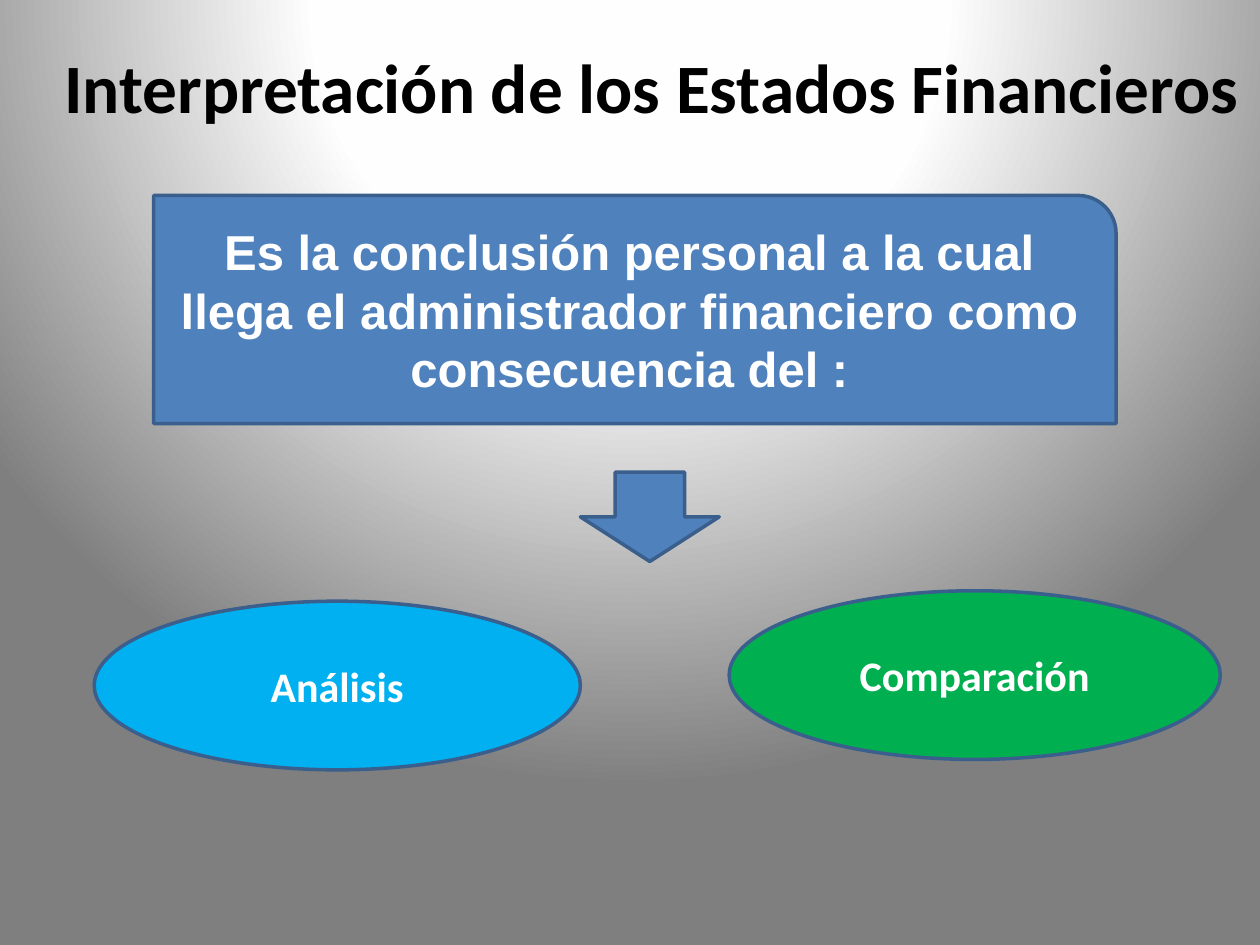
"""Build the slide on the interpretation of financial statements."""
from dataclasses import dataclass
from typing import Optional

from lxml.etree import fromstring
from pptx import Presentation
from pptx.dml.color import RGBColor
from pptx.enum.shapes import MSO_SHAPE as Shape
from pptx.enum.text import MSO_ANCHOR as Anchor, PP_ALIGN as Align
from pptx.slide import Slide
from pptx.text.text import TextFrame
from pptx.util import Cm, Pt


@dataclass(frozen=True)
class Theme:
    blue: str = "4F81BD"
    sky: str = "00B0F0"
    green: str = "00B050"
    outline: str = "3A5F8C"
    dark: str = "000000"
    light: str = "FFFFFF"
    backdrop: tuple = ((0, "FFFFFF"), (40, "FEFEFE"), (100, "7F7F7F"))
    heading_font: str = "Calibri"
    body_font: str = "Arial"
    title_size: float = 39.6
    statement_size: float = 28
    label_size: float = 24
    line_width: float = 2


@dataclass(frozen=True)
class Box:
    left: float
    top: float
    width: float
    height: float

    def lengths(self) -> tuple:
        return Cm(self.left), Cm(self.top), Cm(self.width), Cm(self.height)


@dataclass(frozen=True)
class Label:
    text: str
    size: float
    font: str
    color: str


@dataclass(frozen=True)
class Figure:
    kind: Shape
    box: Box
    fill: str
    label: Optional[Label] = None


THEME = Theme()
TITLE_BOX = Box(0.89, 0.76, 24.51, 3.18)
TITLE = Label("Interpretación de los Estados Financieros",
              THEME.title_size, THEME.heading_font, THEME.dark)
STATEMENT = Label("Es la conclusión personal a la cual llega el administrador "
                  "financiero como consecuencia del :",
                  THEME.statement_size, THEME.body_font, THEME.light)
ANALYSIS, COMPARISON = (
    Label(text, THEME.label_size, THEME.heading_font, THEME.light)
    for text in ("Análisis", "Comparación"))
FIGURES = (
    Figure(Shape.ROUND_1_RECTANGLE, Box(3.1, 3.94, 19.4, 4.6), THEME.blue, STATEMENT),
    Figure(Shape.OVAL, Box(1.9, 12.12, 9.8, 3.4), THEME.sky, ANALYSIS),
    Figure(Shape.OVAL, Box(14.7, 11.91, 9.9, 3.4), THEME.green, COMPARISON),
    Figure(Shape.DOWN_ARROW, Box(11.7, 9.52, 2.8, 1.8), THEME.blue),
)


def paint_background(slide: Slide) -> None:
    """Fill the slide with a circular gradient centred above it."""
    stops = "".join(
        f'<a:gs pos="{position * 1000}"><a:srgbClr val="{color}"/></a:gs>'
        for position, color in THEME.backdrop)
    background = fromstring(
        '<p:bg xmlns:p="http://schemas.openxmlformats.org/presentationml/2006/main" '
        'xmlns:a="http://schemas.openxmlformats.org/drawingml/2006/main">'
        f'<p:bgPr><a:gradFill rotWithShape="1"><a:gsLst>{stops}</a:gsLst>'
        '<a:path path="circle">'
        '<a:fillToRect l="50000" t="-80000" r="50000" b="180000"/></a:path>'
        '</a:gradFill><a:effectLst/></p:bgPr></p:bg>')
    slide.element.cSld.insert(0, background)


def write_label(frame: TextFrame, label: Label, anchor: Anchor) -> None:
    """Write one bold centred paragraph."""
    frame.word_wrap = True
    frame.vertical_anchor = anchor
    paragraph = frame.paragraphs[0]
    paragraph.text = label.text
    paragraph.alignment = Align.CENTER
    paragraph.font.bold = True
    paragraph.font.size = Pt(label.size)
    paragraph.font.name = label.font
    paragraph.font.color.rgb = RGBColor.from_string(label.color)


def draw_figure(slide: Slide, figure: Figure) -> None:
    """Draw an outlined preset shape with its label, if any."""
    shape = slide.shapes.add_shape(figure.kind, *figure.box.lengths())
    shape.shadow.inherit = False
    shape.fill.solid()
    shape.fill.fore_color.rgb = RGBColor.from_string(figure.fill)
    shape.line.color.rgb = RGBColor.from_string(THEME.outline)
    shape.line.width = Pt(THEME.line_width)
    if figure.label:
        write_label(shape.text_frame, figure.label, Anchor.MIDDLE)


def main() -> None:
    """Assemble and save the presentation."""
    presentation = Presentation()
    presentation.slide_width, presentation.slide_height = Cm(25.4), Cm(19.05)
    slide = presentation.slides.add_slide(presentation.slide_layouts[6])
    paint_background(slide)
    title = slide.shapes.add_textbox(*TITLE_BOX.lengths())
    write_label(title.text_frame, TITLE, Anchor.TOP)
    for figure in FIGURES:
        draw_figure(slide, figure)
    presentation.save("out.pptx")


if __name__ == "__main__":
    main()
